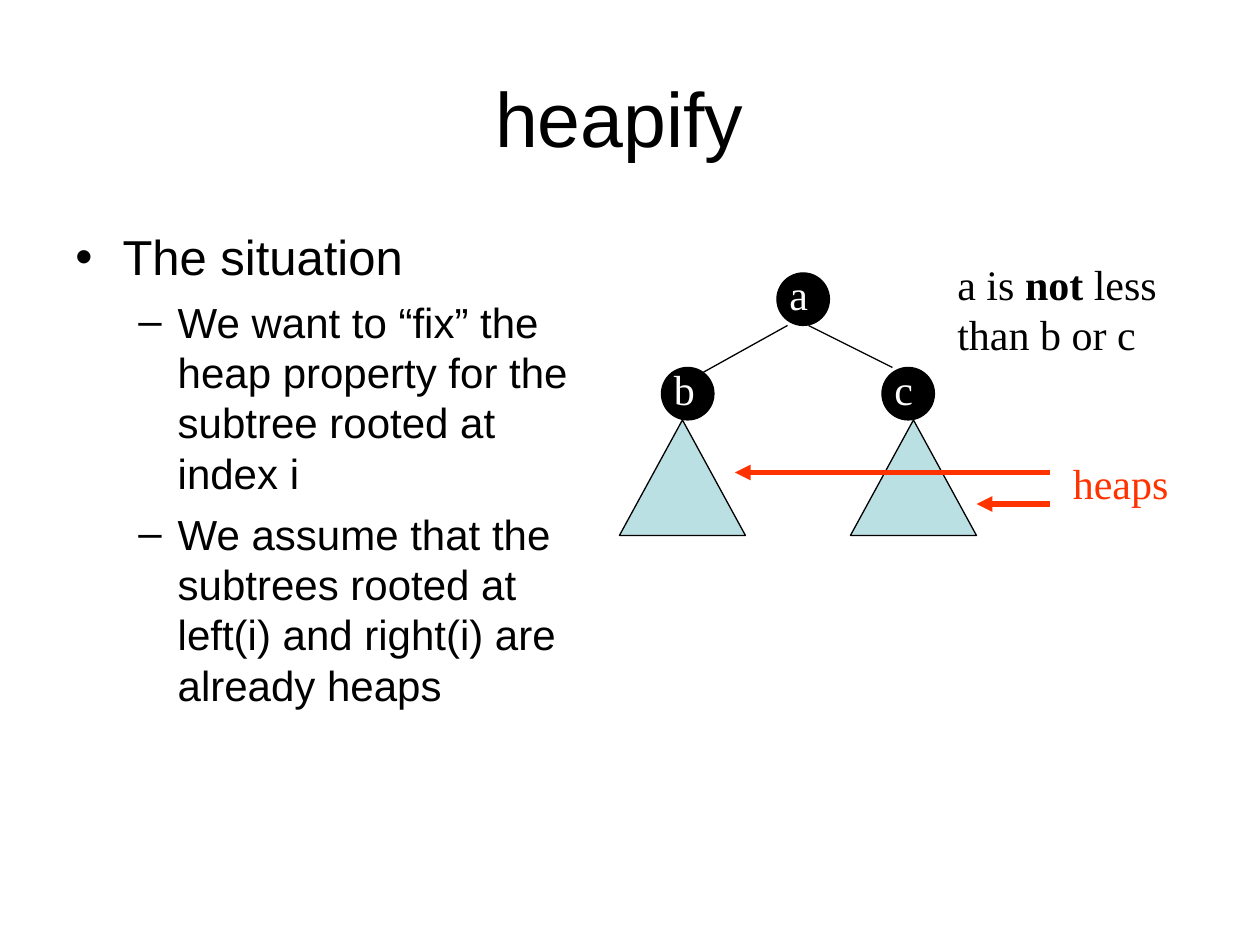
from lxml import etree
from pptx import Presentation
from pptx.dml.color import RGBColor
from pptx.enum.shapes import MSO_CONNECTOR, MSO_SHAPE
from pptx.enum.text import MSO_ANCHOR, PP_ALIGN
from pptx.oxml.ns import qn
from pptx.util import Pt

STRAIGHT = MSO_CONNECTOR.STRAIGHT
OVAL = MSO_SHAPE.OVAL
TRIANGLE = MSO_SHAPE.ISOSCELES_TRIANGLE
MIDDLE = MSO_ANCHOR.MIDDLE
CENTER = PP_ALIGN.CENTER

BLACK = RGBColor(0x00, 0x00, 0x00)
WHITE = RGBColor(0xFF, 0xFF, 0xFF)
RED = RGBColor(0xFF, 0x33, 0x00)
PALE_BLUE = RGBColor(0xBB, 0xE0, 0xE3)
SANS = "Arial"
SERIF = "Times New Roman"

TITLE = "heapify "
BULLETS = [
    (0, "The situation"),
    (1, "We want to “fix” the heap property for the subtree rooted at index i"),
    (1, "We assume that the subtrees rooted at left(i) and right(i) are already heaps"),
]
LEVELS = [
    {"size": 28, "mark": "•", "margin": 27, "hanging": 27, "before": 7},
    {"size": 24, "mark": "–", "margin": 58.5, "hanging": 22.5, "before": 6},
]
NODES = [("a", 444, 156, 42), ("b", 378, 210, 30), ("c", 504, 210, 30)]
NODE_SIZE = 30
EDGES = [((450, 186), (396, 216)), ((462, 186), (510, 210))]
SUBTREE_LEFTS = [354, 486]
SUBTREE_TOP = NODES[1][2] + NODE_SIZE
ARROW_START = 600
ARROWS = [(558, 288), (420, 270)]
NOTE = [("a is ", False), ("not", True), (" less than b or c", False)]


def add_run(paragraph, text, size, font, color, bold=False):
    run = paragraph.add_run()
    run.text = text
    run.font.size = Pt(size)
    run.font.name = font
    run.font.bold = bold
    run.font.color.rgb = color


def add_box(slide, left, top, width, height, wrap=True):
    box = slide.shapes.add_textbox(Pt(left), Pt(top), Pt(width), Pt(height))
    box.text_frame.word_wrap = wrap
    return box.text_frame


def add_label(slide, bounds, runs, color, wrap=True):
    paragraph = add_box(slide, *bounds, wrap).paragraphs[0]
    for text, bold in runs:
        add_run(paragraph, text, 24, SERIF, color, bold)


def add_figure(slide, kind, left, top, width, height, fill):
    shape = slide.shapes.add_shape(kind, Pt(left), Pt(top), Pt(width), Pt(height))
    shape.shadow.inherit = False
    shape.fill.solid()
    shape.fill.fore_color.rgb = fill
    shape.line.color.rgb = BLACK
    shape.line.width = Pt(0.75)


def add_line(slide, start, end, color, width, arrow=False):
    x1, y1, x2, y2 = (Pt(value) for value in (*start, *end))
    line = slide.shapes.add_connector(STRAIGHT, x1, y1, x2, y2)
    line.line.color.rgb = color
    line.line.width = Pt(width)
    if arrow:
        etree.SubElement(line.line._get_or_add_ln(), qn("a:tailEnd"), type="triangle")
    etree.SubElement(line._element.spPr, qn("a:effectLst"))


def add_title(slide):
    title = slide.shapes.title
    title.left, title.top, title.width, title.height = Pt(36), Pt(21.6), Pt(648), Pt(90)
    title.text_frame.vertical_anchor = MIDDLE
    paragraph = title.text_frame.paragraphs[0]
    paragraph.alignment = CENTER
    add_run(paragraph, TITLE, 44, SANS, BLACK)


def add_bullets(slide):
    frame = add_box(slide, 36, 126, 318, 356)
    for index, (level, text) in enumerate(BULLETS):
        style = LEVELS[level]
        paragraph = frame.add_paragraph() if index else frame.paragraphs[0]
        paragraph.level = level
        paragraph.space_before = Pt(style["before"])
        properties = paragraph._p.get_or_add_pPr()
        properties.set("marL", str(Pt(style["margin"])))
        properties.set("indent", str(-Pt(style["hanging"])))
        etree.SubElement(properties, qn("a:buFont"), typeface=SANS)
        etree.SubElement(properties, qn("a:buChar"), char=style["mark"])
        add_run(paragraph, text, style["size"], SANS, BLACK)


def add_tree(slide):
    for _, left, top, _ in NODES:
        add_figure(slide, OVAL, left, top, NODE_SIZE, NODE_SIZE, BLACK)
    for start, end in EDGES:
        add_line(slide, start, end, BLACK, 0.75)
    for name, left, top, width in NODES:
        add_label(slide, (left, top - 6, width, 36), [(name, False)], WHITE)
    for left in SUBTREE_LEFTS:
        add_figure(slide, TRIANGLE, left, SUBTREE_TOP, 72, 66, PALE_BLUE)
    for tip, y in ARROWS:
        add_line(slide, (ARROW_START, y), (tip, y), RED, 3, arrow=True)
    add_label(slide, (606, 258, 69, 36), [("heaps", False)], RED, wrap=False)
    add_label(slide, (540, 144, 174, 65), NOTE, BLACK)


def main():
    presentation = Presentation()
    presentation.slide_width, presentation.slide_height = Pt(720), Pt(540)
    slide = presentation.slides.add_slide(presentation.slide_layouts[5])
    add_title(slide)
    add_bullets(slide)
    add_tree(slide)
    presentation.save("out.pptx")


if __name__ == "__main__":
    main()
